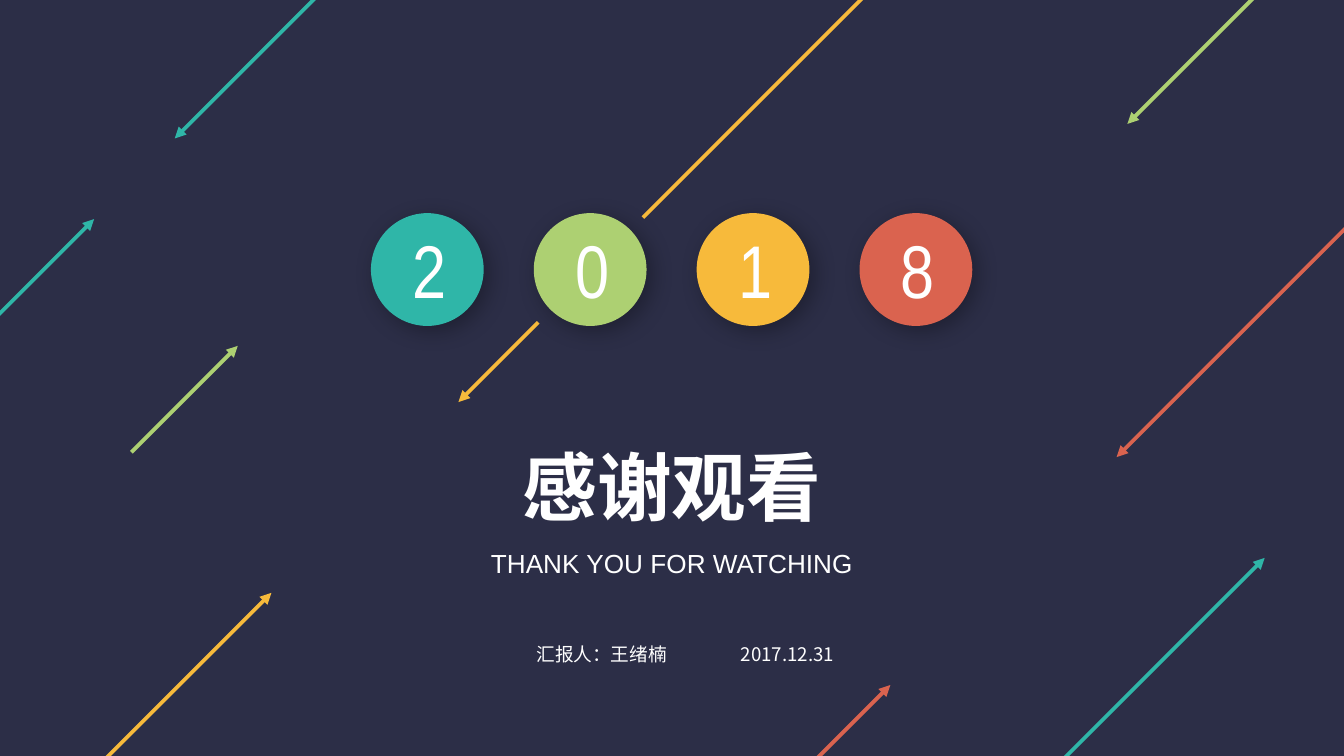
"""Build the closing slide: year circles, slanted arrows and thanks."""
from typing import NamedTuple

from lxml import etree
from pptx import Presentation
from pptx.dml.color import RGBColor
from pptx.enum.shapes import MSO_CONNECTOR, MSO_SHAPE
from pptx.enum.text import MSO_ANCHOR, MSO_AUTO_SIZE, PP_ALIGN
from pptx.oxml.ns import qn
from pptx.util import Pt

LINE = MSO_CONNECTOR.STRAIGHT
OVAL = MSO_SHAPE.OVAL
TOP = MSO_ANCHOR.TOP
GROW = MSO_AUTO_SIZE.SHAPE_TO_FIT_TEXT
LEFT, MID, RIGHT = PP_ALIGN.LEFT, PP_ALIGN.CENTER, PP_ALIGN.RIGHT

HUES = {
    "navy": "2C2E47",
    "teal": "2FB6A8",
    "green": "ADD072",
    "gold": "F7BA3B",
    "red": "DA634F",
    "white": "FFFFFF",
    "black": "000000",
}
HAN = "Noto Sans CJK SC"
DISC, RING, STEP = 60.4, 79.2, 87.25
ROW_X, ROW_Y = 228.9, 144.4


class Arrow(NamedTuple):
    """A 45-degree arrow: its tip, and the run from tip to tail."""
    hue: str
    x: float
    y: float
    run: float


class Digit(NamedTuple):
    """One figure of the year in its column."""
    col: int
    text: str
    hue: str
    ring: bool = True


class Label(NamedTuple):
    """A line of white text and its box."""
    text: str
    x: float
    y: float
    wide: float
    high: float
    size: float
    font: str = "Arial"
    align: PP_ALIGN = MID
    bold: bool = False
    inset: tuple = (0, 0)
    wrap: bool = False


BEAM = Arrow("gold", 245.6, 215.4, 229)
ARROWS = [
    Arrow("teal", 50.4, 117.4, -76),
    Arrow("green", 604, 66.4, 85),
    Arrow("gold", 145.4, 317.6, -136),
    Arrow("red", 598.2, 244.9, 155.5),
    Arrow("teal", 677.5, 298.9, -130.3),
    Arrow("red", 477, 367, -60.2),
    Arrow("teal", 93.6, 74.2, 121),
    Arrow("green", 127.4, 185.3, -57),
]
DIGITS = [
    Digit(2, "1", "gold", False),
    Digit(0, "2", "teal"),
    Digit(1, "0", "green"),
    Digit(3, "8", "red"),
]
TITLE = Label("感谢观看", 280, 236.2, 160, 48.2, 40, bold=True)
THANKS = Label("THANK YOU FOR WATCHING", 262.6, 293.4, 194.8, 17, 14)
NOTES = [
    Label("汇报人：王绪楠", 287.4, 344.2, 69.8, 12.2, 10, HAN, RIGHT),
    Label("2017.12.31", 396.9, 344.2, 51.8, 12.2, 10, HAN, LEFT),
]


def tint(name: str) -> RGBColor:
    """Return the named colour."""
    return RGBColor.from_string(HUES[name])


def draw_arrow(slide, arrow: Arrow) -> None:
    """Draw an arrow from its tail to its tip."""
    line = slide.shapes.add_connector(
        LINE, Pt(arrow.x + arrow.run), Pt(arrow.y - arrow.run),
        Pt(arrow.x), Pt(arrow.y))
    line.line.color.rgb = tint(arrow.hue)
    line.line.width = Pt(2)
    props = line.line._get_or_add_ln()
    etree.SubElement(props, qn("a:tailEnd"), type="triangle")
    etree.SubElement(line._element.spPr, qn("a:effectLst"))


def draw_disc(slide, x: float, size: float, hue: str):
    """Draw a plain circle centred on the year row."""
    disc = slide.shapes.add_shape(
        OVAL, Pt(x - size / 2), Pt(ROW_Y - size / 2), Pt(size), Pt(size))
    disc.shadow.inherit = False
    disc.fill.solid()
    disc.fill.fore_color.rgb = tint(hue)
    disc.line.fill.background()
    return disc


def add_shade(disc) -> None:
    """Give a circle a soft shadow to the lower right."""
    group = disc._element.spPr.find(qn("a:effectLst"))
    shade = etree.SubElement(
        group, qn("a:outerShdw"), blurRad=str(Pt(12)), dist=str(Pt(4)),
        dir=str(45 * 60000), algn="tl", rotWithShape="0")
    ink = etree.SubElement(shade, qn("a:srgbClr"), val=HUES["black"])
    etree.SubElement(ink, qn("a:alpha"), val="30000")


def fill_text(box, label: Label) -> None:
    """Place a box and write its label."""
    box.left, box.top = Pt(label.x), Pt(label.y)
    box.width, box.height = Pt(label.wide), Pt(label.high)
    frame = box.text_frame
    side, edge = label.inset
    frame.margin_left = frame.margin_right = Pt(side)
    frame.margin_top = frame.margin_bottom = Pt(edge)
    frame.word_wrap = label.wrap
    frame.auto_size = GROW
    frame.vertical_anchor = TOP
    frame.text = label.text
    para = frame.paragraphs[0]
    para.alignment = label.align
    para.space_before = Pt(0)
    font = para.font
    font.size, font.name, font.bold = Pt(label.size), label.font, label.bold
    font.color.rgb = tint("white")
    props = para._p.pPr.find(qn("a:defRPr"))
    etree.SubElement(props, qn("a:ea"), typeface=HAN)


def add_label(slide, label: Label) -> None:
    """Add a text box for a label."""
    fill_text(slide.shapes.add_textbox(0, 0, 0, 0), label)


def main() -> None:
    """Build and save the slide."""
    deck = Presentation()
    deck.slide_width, deck.slide_height = Pt(720), Pt(405)
    slide = deck.slides.add_slide(deck.slide_layouts[0])
    slide.background.fill.solid()
    slide.background.fill.fore_color.rgb = tint("navy")
    fill_text(slide.shapes.title, TITLE)
    fill_text(slide.placeholders[1], THANKS)
    draw_arrow(slide, BEAM)
    for digit in DIGITS:
        x = ROW_X + digit.col * STEP
        if digit.ring:
            draw_disc(slide, x, RING, "navy")
        add_shade(draw_disc(slide, x, DISC, digit.hue))
        add_label(slide, Label(
            digit.text, x - 15.1, 116.6, 30.2, 55.4, 40, "Arial Narrow",
            inset=(7.2, 3.6), wrap=True))
    for arrow in ARROWS:
        draw_arrow(slide, arrow)
    for note in NOTES:
        add_label(slide, note)
    deck.save("out.pptx")


if __name__ == "__main__":
    main()
